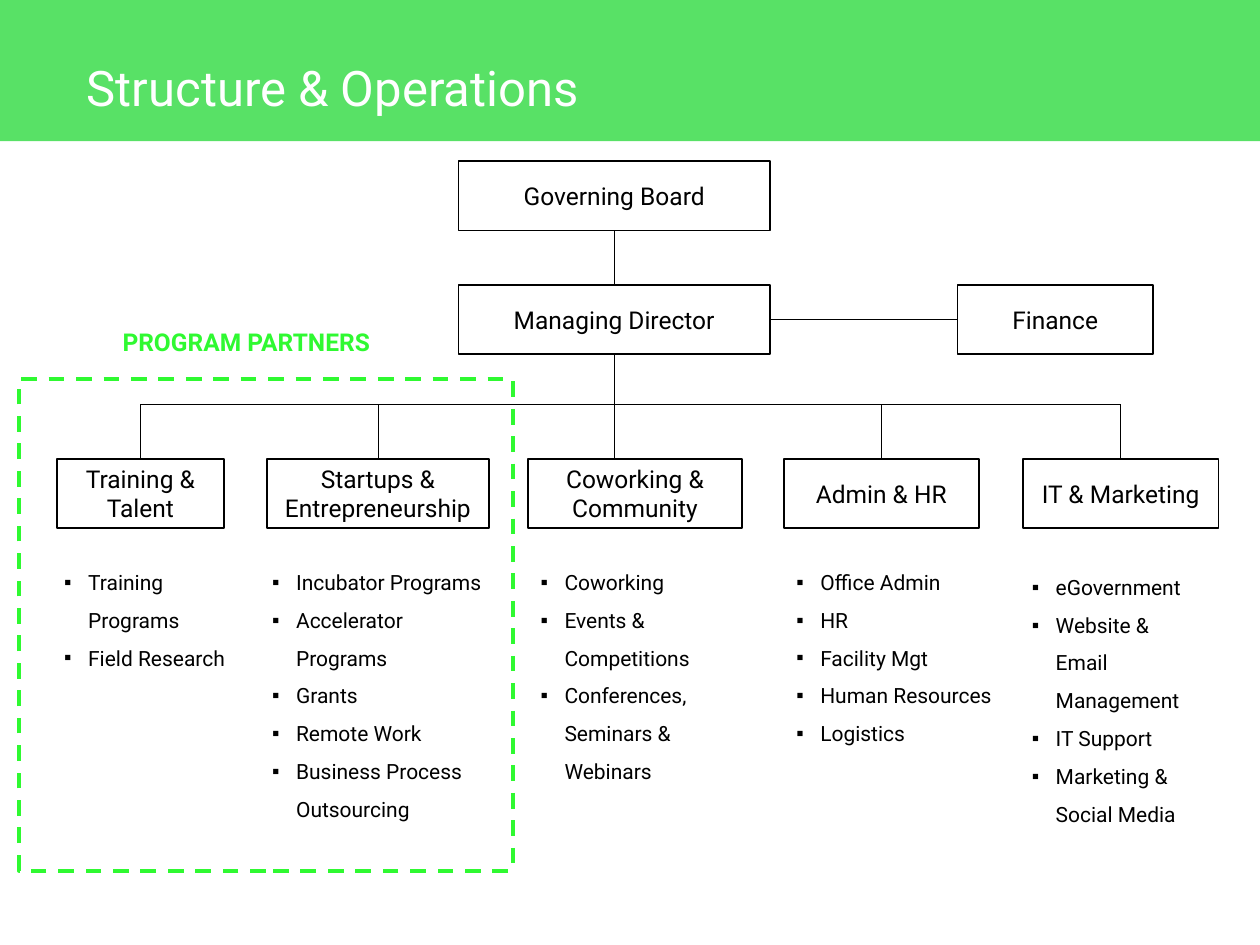
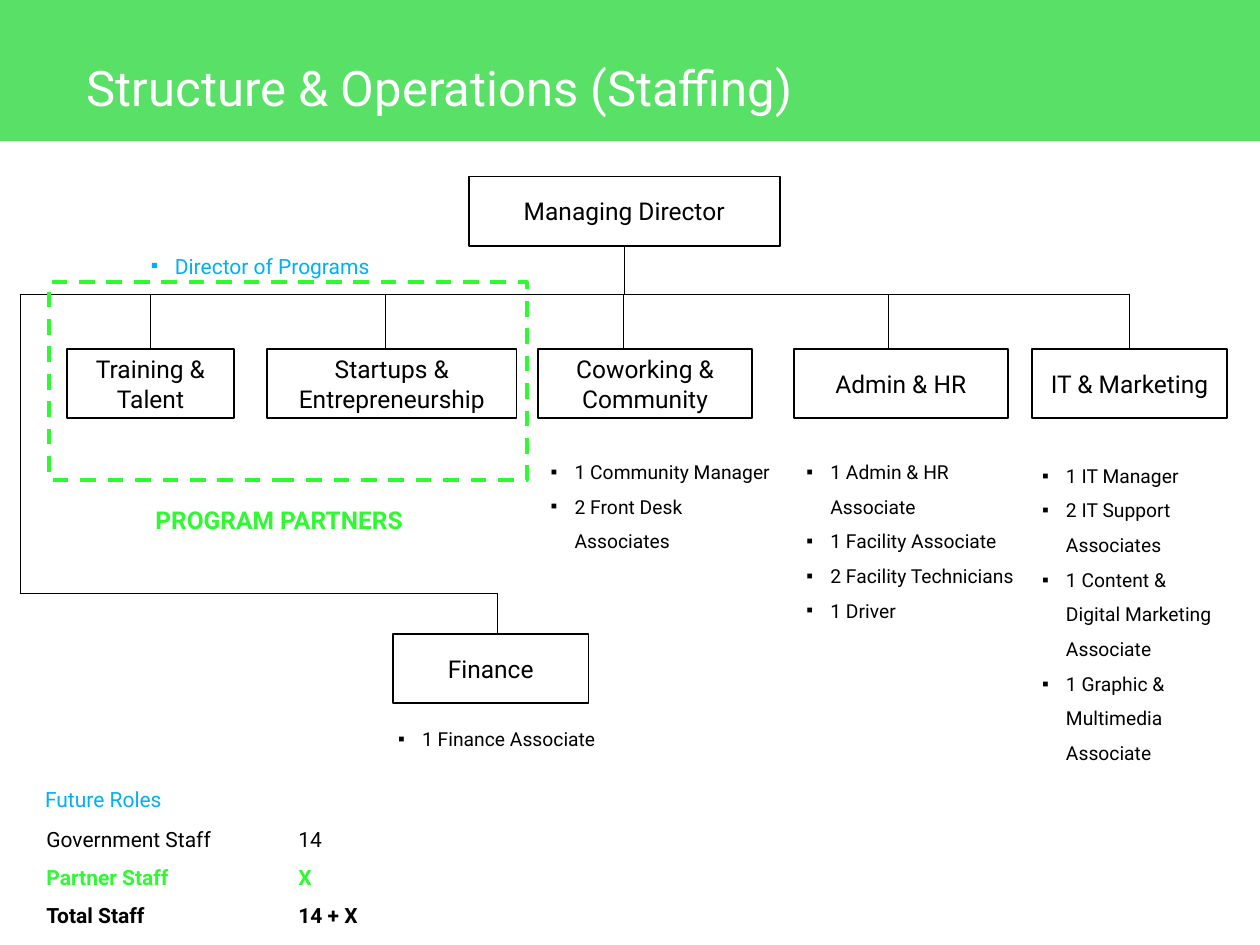
from lxml import etree
from pptx import Presentation
from pptx.dml.color import RGBColor
from pptx.enum.dml import MSO_LINE
from pptx.enum.shapes import MSO_CONNECTOR, MSO_SHAPE
from pptx.enum.text import MSO_ANCHOR, MSO_AUTO_SIZE, PP_ALIGN
from pptx.oxml.ns import qn
from pptx.util import Inches, Pt

RECT, STRAIGHT, DASH = MSO_SHAPE.RECTANGLE, MSO_CONNECTOR.STRAIGHT, MSO_LINE.DASH
TOP, MIDDLE = MSO_ANCHOR.TOP, MSO_ANCHOR.MIDDLE
LEFT, CENTER, NO_FIT = PP_ALIGN.LEFT, PP_ALIGN.CENTER, MSO_AUTO_SIZE.NONE
SITE_TOP, SITE_LEFT, SITE_BOTTOM, SITE_RIGHT = range(4)

BAND = RGBColor(0x58, 0xE1, 0x66)
PARTNER = RGBColor(0x2F, 0xF9, 0x31)
FUTURE = RGBColor(0x00, 0xB0, 0xF0)
BLACK = RGBColor(0, 0, 0)
WHITE = RGBColor(255, 255, 255)
FONT = "Roboto"
BOX_H = 0.55
INDENT = 0.19
JOIN_GAP = 0.03  # a drop this near a box centre is joined to it

# Content: units are (name, left, width, drop x); lists are (left, top, width, height, items)
STRUCTURE = {
    "title": "Structure & Operations",
    "director": (3.64, 2.26),
    "bus_y": 3.21,
    "unit_top": 3.64,
    "units": [
        ("Training & Talent", 0.45, 1.33, 1.1),
        ("Startups & Entrepreneurship", 2.12, 1.76, 2.99),
        ("Coworking & Community", 4.19, 1.7, 4.88),
        ("Admin & HR", 6.22, 1.55, 6.97),
        ("IT & Marketing", 8.12, 1.55, 8.88),
    ],
    "list_size": 12,
    "lists": [
        (0.41, 4.37, 1.61, 0.98, ["Training Programs", "Field Research"]),
        (2.06, 4.37, 1.87, 2.2, ["Incubator Programs", "Accelerator Programs", "Grants",
                                 "Remote Work", "Business Process Outsourcing"]),
        (4.19, 4.37, 1.87, 1.89, ["Coworking", "Events & Competitions",
                                  "Conferences, Seminars & Webinars"]),
        (6.22, 4.37, 1.78, 1.59, ["Office Admin", "HR", "Facility Mgt",
                                  "Human Resources", "Logistics"]),
        (8.09, 4.41, 1.58, 2.2, ["eGovernment", "Website & Email Management",
                                 "IT Support", "Marketing & Social Media"]),
    ],
    "partner_frame": (0.15, 3.01, 3.92, 3.9),
    "partner_label": (0.41, 2.55),
}
STAFFING = {
    "title": "Structure & Operations (Staffing)",
    "director": (3.72, 1.4),
    "bus_y": 2.34,
    "unit_top": 2.77,
    "units": [
        ("Training & Talent", 0.53, 1.33, 1.17),
        ("Startups & Entrepreneurship", 2.12, 1.98, 3.06),
        ("Coworking & Community", 4.27, 1.7, 4.95),
        ("Admin & HR", 6.3, 1.7, 7.05),
        ("IT & Marketing", 8.19, 1.55, 8.95),
    ],
    "list_size": 11,
    "lists": [
        (4.27, 3.51, 1.96, 0.91, ["1 Community Manager", "2 Front Desk Associates"]),
        (6.3, 3.51, 1.89, 1.47, ["1 Admin & HR Associate", "1 Facility Associate",
                                 "2 Facility Technicians", "1 Driver"]),
        (8.17, 3.54, 1.58, 2.58, ["1 IT Manager", "2 IT Support Associates",
                                  "1 Content & Digital Marketing Associate",
                                  "1 Graphic & Multimedia Associate"]),
        (3.06, 5.63, 1.89, 0.35, ["1 Finance Associate"]),
    ],
    "partner_frame": (0.39, 2.24, 3.79, 1.57),
    "partner_label": (0.67, 3.96),
}
STAFF_TOTALS = [
    ("Government Staff", "14", {}),
    ("Partner Staff", "X", {"color": PARTNER, "bold": True}),
    ("Total Staff", "14 + X", {"bold": True}),
]


def inches(*values):
    return [Inches(v) for v in values]


def place(shape, *at):
    for name, value in zip(("left", "top", "width", "height"), inches(*at)):
        setattr(shape, name, value)


def write(shape, lines, size, color=BLACK, bold=False, align=LEFT, anchor=TOP,
          spacing=1.0, bullet=False, tab=None):
    """Fill a shape with paragraphs; a line is text or (text, run format)."""
    tf = shape.text_frame
    for name, value in {"word_wrap": True, "auto_size": NO_FIT,
                        "vertical_anchor": anchor}.items():
        setattr(tf, name, value)
    for i, line in enumerate(lines):
        text, own = line if isinstance(line, tuple) else (line, {})
        style = {"color": color, "bold": bold, **own}
        p = tf.paragraphs[0] if i == 0 else tf.add_paragraph()
        p.alignment, p.line_spacing, p.space_before = align, spacing, Pt(0)
        pPr = p._p.get_or_add_pPr()
        if bullet:
            pPr.set("marL", str(Inches(INDENT)))
            pPr.set("indent", str(-Inches(INDENT)))
            etree.SubElement(pPr, qn("a:buFont"), typeface="Arial")
            etree.SubElement(pPr, qn("a:buChar"), char="▪")
        if tab:
            tabs = etree.SubElement(pPr, qn("a:tabLst"))
            etree.SubElement(tabs, qn("a:tab"), pos=str(Inches(tab)), algn="l")
        r = p.add_run()
        r.text = text
        r.font.name, r.font.size, r.font.bold = FONT, Pt(size), style["bold"]
        r.font.color.rgb = style["color"]


def add_rect(s, at, fill=None, line=None, weight=1.0):
    sp = s.shapes.add_shape(RECT, *inches(*at))
    sp.shadow.inherit = False
    if fill is None:
        sp.fill.background()
    else:
        sp.fill.solid()
        sp.fill.fore_color.rgb = fill
    if line is None:
        sp.line.fill.background()
    else:
        sp.line.color.rgb, sp.line.width = line, Pt(weight)
    return sp


def add_box(s, name, left, top, width):
    sp = add_rect(s, (left, top, width, BOX_H), WHITE, BLACK)
    write(sp, [name], 14, align=CENTER, anchor=MIDDLE)
    return sp


def add_text(s, at, lines, size, **style):
    write(s.shapes.add_textbox(*inches(*at)), lines, size, **style)


def link(s, start, end, begin_at=None, end_at=None):
    """Draw a line between two points, joined to (box, site) where given."""
    c = s.shapes.add_connector(STRAIGHT, *inches(*start, *end))
    c.line.color.rgb, c.line.width = BLACK, Pt(0.5)
    etree.SubElement(c._element.spPr, qn("a:effectLst"))
    if begin_at:
        c.begin_connect(*begin_at)
    if end_at:
        c.end_connect(*end_at)


def add_chart_slide(prs, data):
    """Build band, title, lists, director, units and partner frame."""
    s = prs.slides.add_slide(prs.slide_layouts.get_by_name("Comparison"))
    band = add_rect(s, (0, 0, 10, 1.12), BAND)
    s.shapes._spTree.insert(2, band._element)
    title = s.shapes.title
    place(title, 0.59, 0.41, 8, 0.57)
    write(title, [data["title"]], 28, WHITE)

    # Bulleted lists: body placeholders first, then a text box
    bodies = [ph for ph in s.placeholders if ph.placeholder_format.idx]
    for *at, items in data["lists"]:
        body = bodies.pop(0) if bodies else s.shapes.add_textbox(0, 0, 0, 0)
        place(body, *at)
        write(body, items, data["list_size"], spacing=1.5, bullet=True)

    # Director, bus line and units
    left, top = data["director"]
    director = add_box(s, "Managing Director", left, top, 2.47)
    center, bus_y = left + 2.47 / 2, data["bus_y"]
    link(s, (center, top + BOX_H), (center, bus_y), (director, SITE_BOTTOM))
    drops = []
    for name, left, width, x in data["units"]:
        box = add_box(s, name, left, data["unit_top"], width)
        middle = left + width / 2
        joined = abs(middle - x) < JOIN_GAP
        drops.append(middle if joined else x)
        link(s, (drops[-1], bus_y), (drops[-1], data["unit_top"]),
             end_at=(box, SITE_TOP) if joined else None)
    link(s, (data.get("bus_left", drops[0]), bus_y), (drops[-1], bus_y))

    # Program partners
    frame = add_rect(s, data["partner_frame"], line=PARTNER, weight=2.25)
    frame.line.dash_style = DASH
    add_text(s, (*data["partner_label"], 3.09, 0.34), ["PROGRAM PARTNERS"], 14,
             color=PARTNER, bold=True, align=CENTER)
    return s, director


def add_structure(prs):
    s, director = add_chart_slide(prs, STRUCTURE)
    left, top = STRUCTURE["director"]
    center, middle = left + 2.47 / 2, top + BOX_H / 2
    board = add_box(s, "Governing Board", left, 1.28, 2.47)
    link(s, (center, 1.28 + BOX_H), (center, top), (board, SITE_BOTTOM), (director, SITE_TOP))
    finance = add_box(s, "Finance", 7.6, top, 1.55)
    link(s, (left + 2.47, middle), (7.6, middle), (director, SITE_RIGHT), (finance, SITE_LEFT))


def add_staffing(prs):
    rail = 0.16
    s, _ = add_chart_slide(prs, {**STAFFING, "bus_left": rail})

    # Finance branch
    add_box(s, "Finance", 3.12, 5.03, 1.55)
    route = [(rail, STAFFING["bus_y"]), (rail, 4.71), (3.95, 4.71), (3.95, 5.03)]
    for start, end in zip(route, route[1:]):
        link(s, start, end)

    # Future roles and staff totals
    add_text(s, (1.1, 1.86, 2.03, 0.38), ["Director of Programs"], 12,
             color=FUTURE, spacing=1.5, bullet=True)
    add_text(s, (0.26, 6.09, 2.46, 0.38), ["Future Roles"], 12, color=FUTURE, spacing=1.5)
    add_text(s, (0.27, 6.41, 3.18, 0.98),
             [(f"{label}\t{count}", style) for label, count, style in STAFF_TOTALS],
             12, spacing=1.5, tab=2)


def main():
    prs = Presentation()
    prs.slide_width, prs.slide_height = inches(10, 7.5)
    add_structure(prs)
    add_staffing(prs)
    prs.save("out.pptx")


if __name__ == "__main__":
    main()
